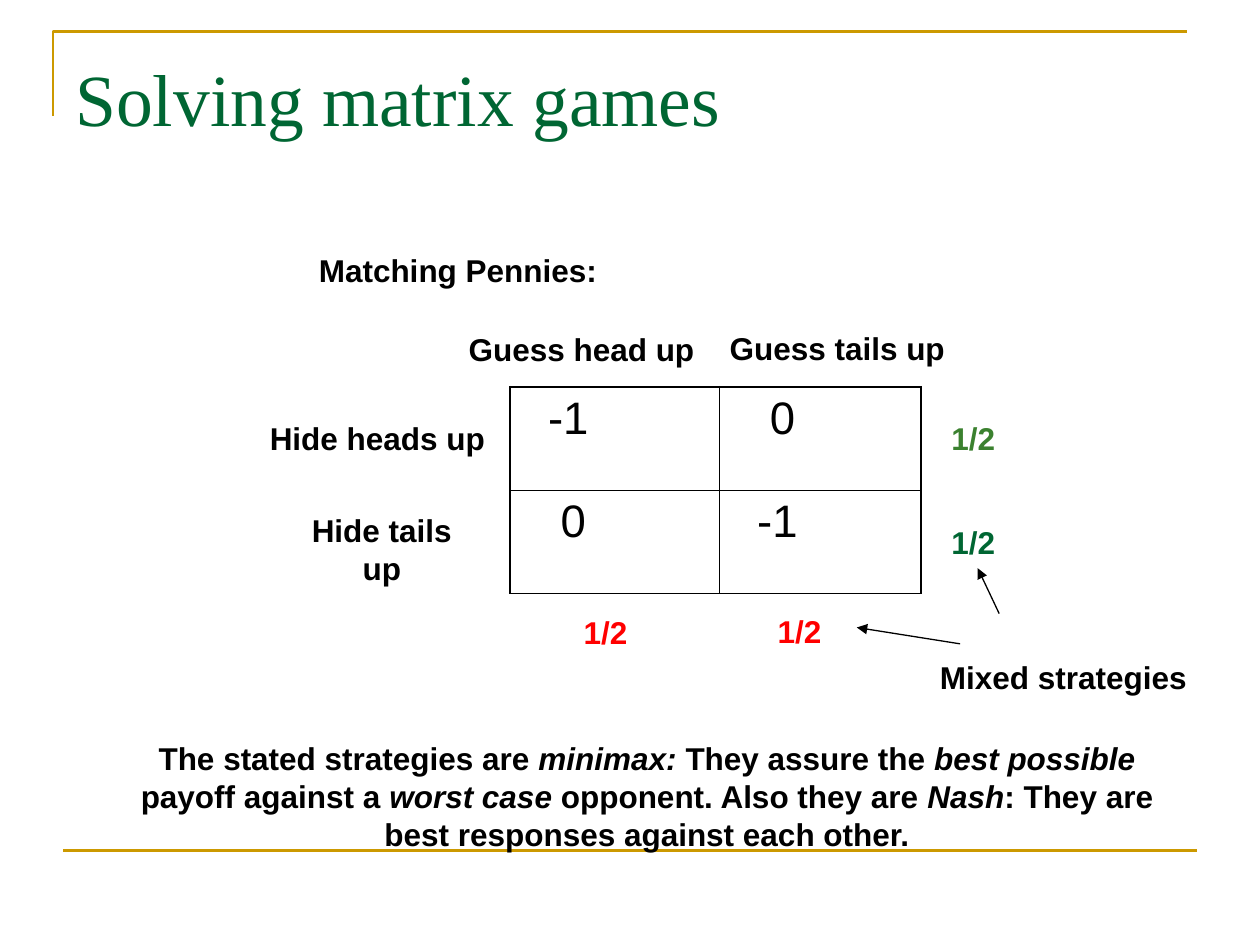
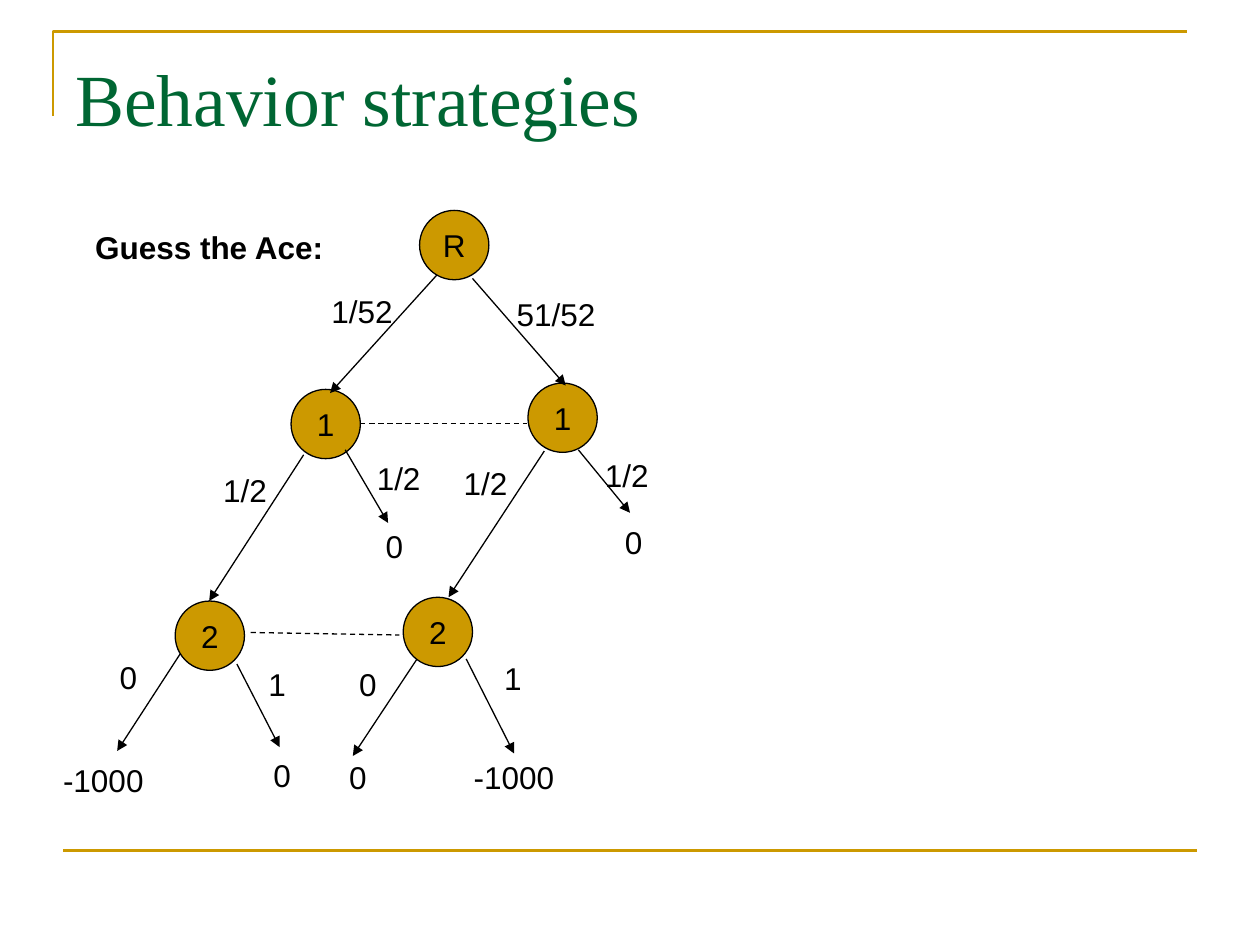
from pptx import Presentation, util as u
from pptx.dml.color import RGBColor
from pptx.enum import dml, shapes, text
from pptx.oxml.ns import qn
from lxml import etree

# Shared look
GOLD = RGBColor(0xCC, 0x99, 0x00)
GREEN = RGBColor(0x00, 0x66, 0x33)
LIGHT_GREEN = RGBColor(0x3B, 0x81, 0x2F)
RED = RGBColor(0xFF, 0x00, 0x00)
BLACK = RGBColor(0x00, 0x00, 0x00)
TITLE_FONT, BODY_FONT = "Times New Roman", "Arial"
TITLE_SIZE, PAYOFF_SIZE, BODY_SIZE = 42, 26, 18
COLUMNS, ROWS = 100, 75          # grid over the whole slide
WIDTH, HEIGHT = u.Inches(10), u.Inches(7.5)
LABEL_ROWS = 4
INSET_X, INSET_Y = 1, 0.5

# Matrix game: labels are (text, column, row, width, colour)
GAME_TITLE = "Solving matrix games"
PAYOFFS = [["-1", "0"], ["0", "-1"]]
PAYOFF_INSETS = [[3, 4], [4, 3]]
MATRIX = (40.5, 30.7)
MATRIX_COLUMNS, MATRIX_ROW = (16.6, 16), 8.2
GAME_LABELS = [
    ("Hide heads up", 20.4, 32.8, 19.1, BLACK),
    ("Hide tails up", 21.9, 40.1, 16.8, BLACK),
    ("Guess head up", 36.2, 25.7, 19.9, BLACK),
    ("Guess tails up", 56.9, 25.6, 19.1, BLACK),
    ("Matching Pennies:", 24.3, 19.4, 24.1, BLACK),
    ("1/2", 45.3, 48.2, 5.5, RED),
    ("1/2", 60.7, 48.1, 5.5, RED),
    ("1/2", 74.5, 32.8, 5.5, LIGHT_GREEN),
    ("1/2", 74.5, 41, 5.5, GREEN),
    ("Mixed strategies", 73.6, 51.7, 21.6, BLACK),
]
STRATEGY_ARROWS = [((79.3, 48.7), (77.6, 45.1)), ((76.2, 51.1), (68, 49.8))]
CONCLUSION_BOX = (9.2, 58.2, 84.3, 10)
CONCLUSION = [  # (text, italic)
    ("The stated strategies are ", False), ("minimax: ", True),
    ("They assure the ", False), ("best possible", True),
    (" payoff against a ", False), ("worst case", True),
    (" opponent. Also they are ", False), ("Nash", True),
    (": They are best responses against each other.", False),
]

# Game tree: nodes and payoffs are (text, column, row)
TREE_TITLE = "Behavior strategies"
TREE_NAME = ("Guess the Ace:", 6.5, 17.6, 20.2, BLACK)
NODE_SIZE = 5.5
NODES = [("R", 33.3, 16.7), ("1", 23.1, 30.9), ("1", 41.9, 30.4),
         ("2", 13.9, 47.7), ("2", 32, 47.4)]
MOVES = [  # (from, to, probability, its column and row)
    ((34.7, 21.8), (26.2, 31.2), "1/52", (25.3, 22.7)),
    ((37.5, 22.1), (44.9, 30.6), "51/52", (40, 22.9)),
    ((24.1, 36.1), (16.6, 47.7), "1/2", (16.7, 36.9)),
    ((27.4, 35.7), (30.8, 41.5), "1/2", (28.9, 35.9)),
    ((43.2, 35.8), (35.6, 47.4), "1/2", (35.8, 36.3)),
    ((45.9, 35.7), (50, 40.7), "1/2", (47, 35.7)),
    ((14.3, 51.9), (9.3, 59.6), "0", (8.5, 51.7)),
    ((18.8, 52.7), (22.2, 59.3), "1", (20.3, 52.3)),
    ((33.1, 52.3), (28, 60), "0", (27.5, 52.3)),
    ((37, 52.3), (40.8, 59.8), "1", (39, 51.8)),
]
INFORMATION_SETS = [((28.6, 33.6), (41.8, 33.6)), ((19.9, 50.2), (31.7, 50.4))]
OUTCOMES = [("-1000", 4, 59.9), ("0", 26.7, 59.7), ("0", 20.7, 59.5),
            ("-1000", 36.6, 59.7), ("0", 29.6, 41.3), ("0", 48.6, 41)]


def grid_x(columns):
    return round(WIDTH * columns / COLUMNS)


def grid_y(rows):
    return round(HEIGHT * rows / ROWS)


def place(left, top, width, height):
    return grid_x(left), grid_y(top), grid_x(width), grid_y(height)


def add_run(paragraph, words, size=BODY_SIZE, color=BLACK, name=BODY_FONT,
            bold=False, italic=False):
    run = paragraph.add_run()
    run.text = words
    font = run.font
    font.size, font.name, font.bold, font.italic = u.Pt(size), name, bold, italic
    font.color.rgb = color


def add_label(slide, words, left, top, width, color=BLACK, bold=False):
    frame = slide.shapes.add_textbox(*place(left, top, width, LABEL_ROWS)).text_frame
    frame.word_wrap = False
    frame.auto_size = text.MSO_AUTO_SIZE.SHAPE_TO_FIT_TEXT
    paragraph = frame.paragraphs[0]
    paragraph.alignment = text.PP_ALIGN.CENTER
    add_run(paragraph, words, color=color, bold=bold)


def add_number(slide, words, left, top):
    """Label as wide as its digits and signs need."""
    glyphs = {"/": 0.7, "-": 0.83}
    width = 2 * INSET_X + sum(glyphs.get(glyph, 1.39) for glyph in words)
    add_label(slide, words, left, top, width)


def add_line(slide, start, end, color=BLACK, weight=0.75, arrow=False, dashed=False):
    line = slide.shapes.add_connector(
        shapes.MSO_CONNECTOR.STRAIGHT, grid_x(start[0]), grid_y(start[1]),
        grid_x(end[0]), grid_y(end[1]))
    line.line.color.rgb = color
    line.line.width = u.Pt(weight)
    if dashed:
        line.line.dash_style = dml.MSO_LINE.DASH
    properties = line._element.spPr
    if arrow:
        etree.SubElement(properties.find(qn("a:ln")), qn("a:tailEnd"), type="triangle")
    etree.SubElement(properties, qn("a:effectLst"))


def add_titled_slide(presentation, title):
    slide = presentation.slides.add_slide(presentation.slide_layouts[6])
    # Corner rule and bottom rule
    builder = slide.shapes.build_freeform(grid_x(4.2), grid_y(9.2))
    builder.add_line_segments([(grid_x(4.2), grid_y(2.5)),
                               (grid_x(94.2), grid_y(2.5))], close=False)
    corner = builder.convert_to_shape()
    corner.shadow.inherit = False
    corner.fill.background()
    corner.line.color.rgb = GOLD
    corner.line.width = u.Pt(1.5)
    add_line(slide, (5, 67.5), (95, 67.5), GOLD, 1.5)
    # Title
    frame = slide.shapes.add_textbox(*place(5, 3, 90, 12.5)).text_frame
    frame.word_wrap = True
    frame.margin_top = grid_y(1.2)
    add_run(frame.paragraphs[0], title, TITLE_SIZE, GREEN, TITLE_FONT)
    return slide


def add_borders(cell, row, column):
    """Thick on the outside of the matrix, thin between its cells."""
    outer = {"L": column == 0, "R": column == 1, "T": row == 0, "B": row == 1}
    properties = cell._tc.get_or_add_tcPr()
    for side, is_outer in outer.items():
        weight = u.Pt(1.08 if is_outer else 0.45)
        border = etree.SubElement(properties, qn(f"a:ln{side}"), w=str(int(weight)))
        fill = etree.SubElement(border, qn("a:solidFill"))
        etree.SubElement(fill, qn("a:srgbClr"), val=str(BLACK))


def add_matrix(slide):
    box = place(*MATRIX, sum(MATRIX_COLUMNS), 2 * MATRIX_ROW)
    table = slide.shapes.add_table(2, 2, *box).table
    table.first_row = table.horz_banding = False
    for column, width in enumerate(MATRIX_COLUMNS):
        table.columns[column].width = grid_x(width)
    for row, payoffs in enumerate(PAYOFFS):
        table.rows[row].height = grid_y(MATRIX_ROW)
        for column, payoff in enumerate(payoffs):
            cell = table.cell(row, column)
            add_borders(cell, row, column)
            cell.fill.background()
            cell.margin_left = grid_x(PAYOFF_INSETS[row][column])
            cell.margin_right = grid_x(INSET_X)
            cell.margin_top = cell.margin_bottom = grid_y(INSET_Y)
            add_run(cell.text_frame.paragraphs[0], payoff, PAYOFF_SIZE)


def add_node(slide, player, left, top):
    node = slide.shapes.add_shape(shapes.MSO_SHAPE.OVAL,
                                  *place(left, top, NODE_SIZE, NODE_SIZE))
    node.shadow.inherit = False
    node.fill.solid()
    node.fill.fore_color.rgb = GOLD
    node.line.color.rgb = BLACK
    node.line.width = u.Pt(0.75)
    frame = node.text_frame
    frame.word_wrap = False
    frame.vertical_anchor = text.MSO_ANCHOR.MIDDLE
    paragraph = frame.paragraphs[0]
    paragraph.alignment = text.PP_ALIGN.CENTER
    add_run(paragraph, player)


def build_game_slide(presentation):
    slide = add_titled_slide(presentation, GAME_TITLE)
    add_matrix(slide)
    for label in GAME_LABELS:
        add_label(slide, *label, bold=True)
    for start, end in STRATEGY_ARROWS:
        add_line(slide, start, end, arrow=True)
    frame = slide.shapes.add_textbox(*place(*CONCLUSION_BOX)).text_frame
    frame.word_wrap = True
    paragraph = frame.paragraphs[0]
    paragraph.alignment = text.PP_ALIGN.CENTER
    for words, italic in CONCLUSION:
        add_run(paragraph, words, bold=True, italic=italic)


def build_tree_slide(presentation):
    slide = add_titled_slide(presentation, TREE_TITLE)
    add_label(slide, *TREE_NAME, bold=True)
    for node in NODES:
        add_node(slide, *node)
    for start, end in INFORMATION_SETS:
        add_line(slide, start, end, dashed=True)
    for start, end, probability, corner in MOVES:
        add_line(slide, start, end, arrow=True)
        add_number(slide, probability, *corner)
    for outcome in OUTCOMES:
        add_number(slide, *outcome)


def main():
    presentation = Presentation()
    presentation.slide_width, presentation.slide_height = WIDTH, HEIGHT
    build_game_slide(presentation)
    build_tree_slide(presentation)
    presentation.save("out.pptx")


if __name__ == "__main__":
    main()
